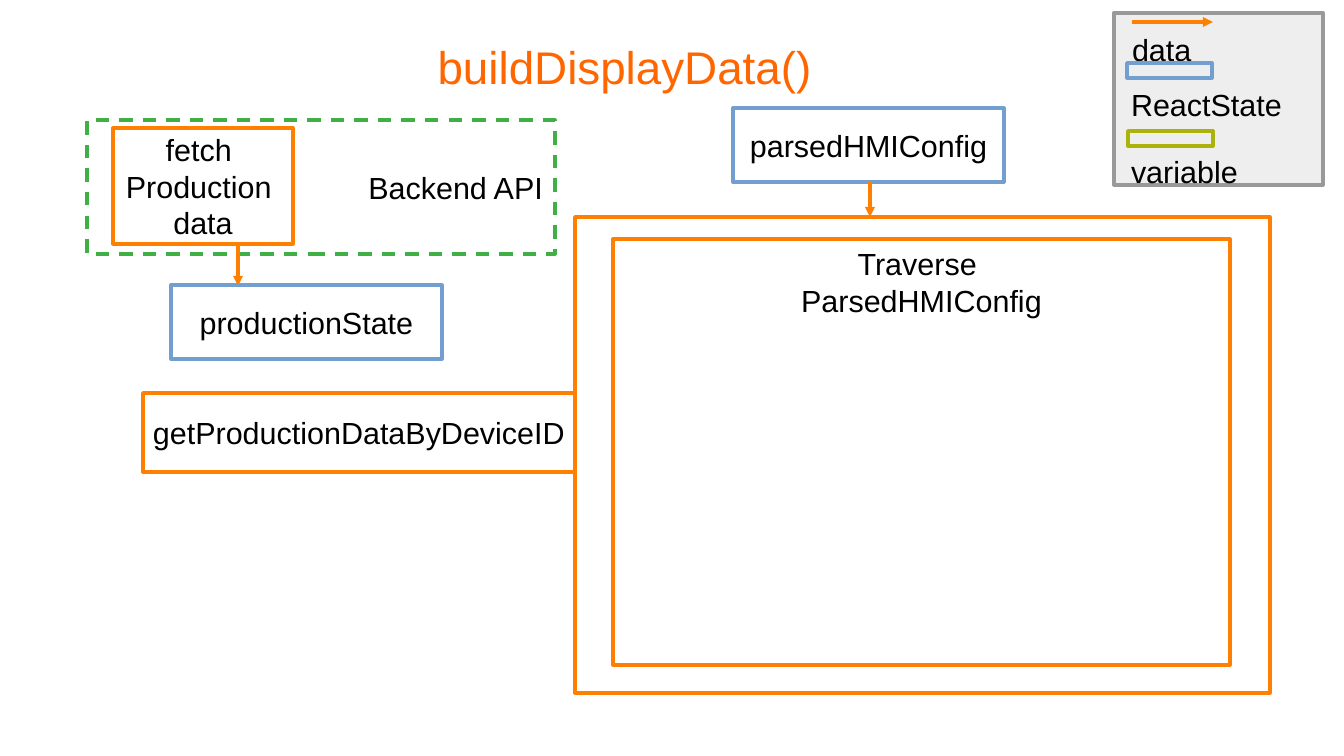
from lxml import etree
from pptx import Presentation
from pptx.enum import dml, shapes, text
from pptx.oxml import ns
from pptx.dml.color import RGBColor
from pptx import util as u

SCALE = 7495  # EMU per px
COLORS = {
    "title": "FF6600", "text": "000000", "white": "FFFFFF",
    "flow": "FF8000", "state": "729FCF", "var": "ACB20C",
    "api": "3FAF46", "edge": "999999", "panel": "EEEEEE",
}
ALIGN = text.PP_ALIGN
ANCHOR = text.MSO_ANCHOR


def px(*vals):
    return [u.Emu(v * SCALE) for v in vals]


def rgb(name):
    return RGBColor.from_string(COLORS[name])


def write(frame, words, size=18, color="text", align=ALIGN.CENTER,
          anchor=ANCHOR.MIDDLE, wrap=False):
    frame.word_wrap = wrap
    frame.vertical_anchor = anchor
    frame.text = words
    for par in frame.paragraphs:
        par.alignment = align
        par.font.size = u.Pt(size)
        par.font.name = "Arial"
        par.font.color.rgb = rgb(color)


def stroke(line, color):
    line.color.rgb = rgb(color)
    line.width = u.Pt(1.98)


def box(slide, area, color, words="", fill="white", dash=None, **form):
    shape = slide.shapes.add_shape(shapes.MSO_SHAPE.RECTANGLE, *px(*area))
    shape.shadow.inherit = False
    if fill:
        shape.fill.solid()
        shape.fill.fore_color.rgb = rgb(fill)
    else:
        shape.fill.background()
    stroke(shape.line, color)
    if dash:
        shape.line.dash_style = dash
    if words:
        write(shape.text_frame, words, **form)


def arrow(slide, *ends):
    link = slide.shapes.add_connector(shapes.MSO_CONNECTOR.STRAIGHT, *px(*ends))
    stroke(link.line, "flow")
    props = link._element.spPr
    etree.SubElement(props.find(ns.qn("a:ln")), ns.qn("a:tailEnd"), type="triangle")
    etree.SubElement(props, ns.qn("a:effectLst"))


def label(slide, area, words):
    frame = slide.shapes.add_textbox(*px(*area)).text_frame
    write(frame, words, align=ALIGN.LEFT, anchor=ANCHOR.TOP, wrap=True)


def head(slide, area, words):
    title = slide.shapes.title
    title.left, title.top, title.width, title.height = px(*area)
    frame = title.text_frame
    frame.margin_left = frame.margin_right = 0
    frame.margin_top = frame.margin_bottom = 0
    write(frame, words, size=27, color="title", wrap=True)


def legend(slide):
    box(slide, (1114, 13, 209, 172), "edge", fill="panel")
    arrow(slide, 1132, 22, 1213, 22)
    label(slide, (1120, 25, 92, 46), "data")
    for left, top, color, words, drop in (
            (1127, 63, "state", "ReactState", 80),
            (1128, 131, "var", "variable", 147)):
        box(slide, (left, top, 85, 15), color, fill=None)
        label(slide, (1119, drop, 192, 46), words)


def main():
    deck = Presentation()
    deck.slide_width, deck.slide_height = px(1344, 756)
    slide = deck.slides.add_slide(deck.slide_layouts[5])

    head(slide, (72, 24, 1105, 84), "buildDisplayData()")
    box(slide, (87, 120, 468, 134), "api", "Backend API",
        dash=dml.MSO_LINE.DASH, align=ALIGN.RIGHT)
    box(slide, (113, 128, 180, 116), "flow", "fetch \nProduction \ndata")
    box(slide, (733, 108, 271, 74), "state", "parsedHMIConfig")
    box(slide, (575, 217, 695, 476), "flow")
    box(slide, (613, 239, 617, 426), "flow", "Traverse \nParsedHMIConfig",
        anchor=ANCHOR.TOP)
    legend(slide)
    arrow(slide, 238, 243, 238, 286)
    arrow(slide, 870, 182, 870, 217)
    box(slide, (171, 285, 271, 74), "state", "productionState")
    box(slide, (143, 393, 432, 79), "flow", "getProductionDataByDeviceID")

    deck.save("out.pptx")


if __name__ == "__main__":
    main()
